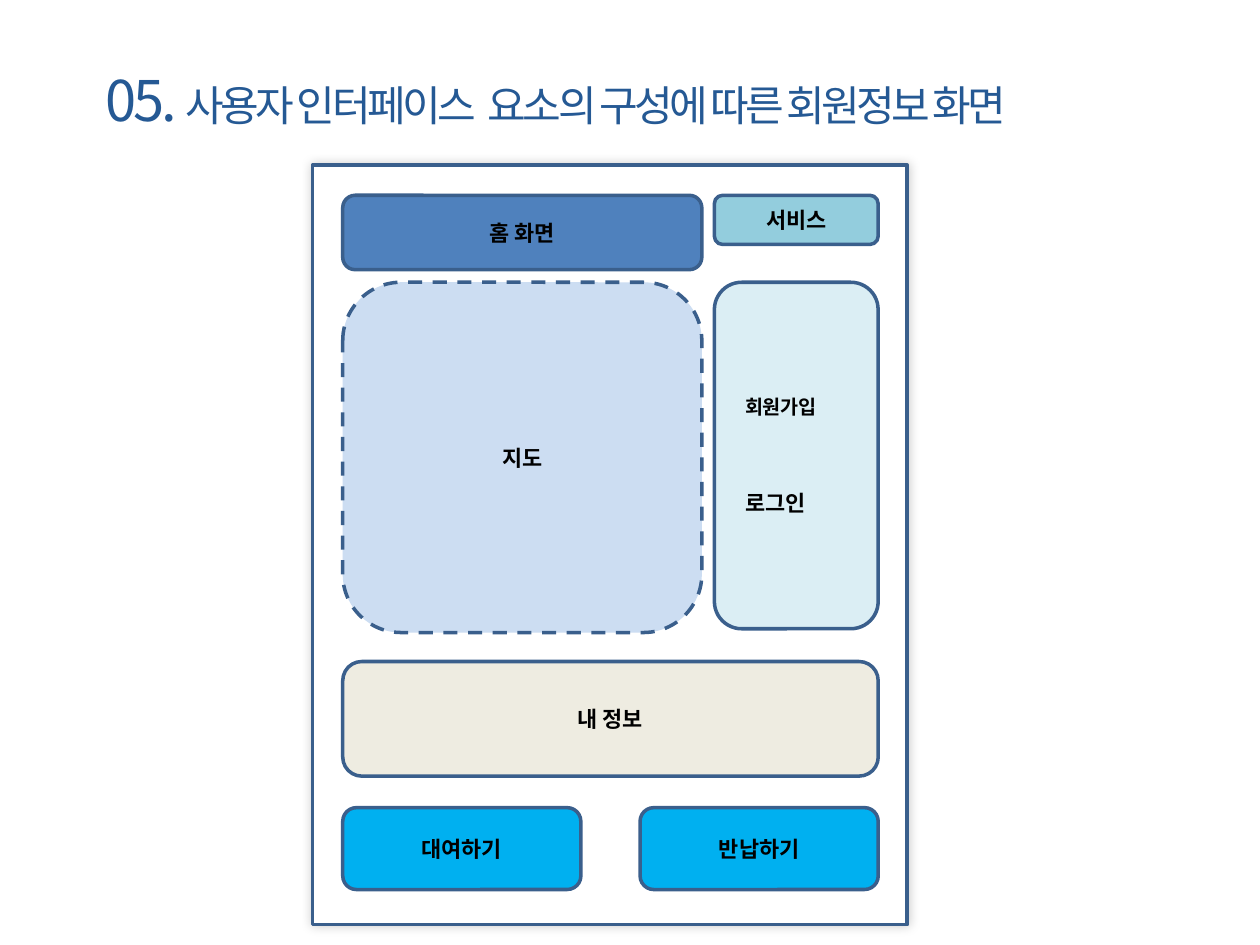
from lxml.etree import SubElement
from pptx import Presentation
from pptx.dml.color import RGBColor
from pptx.enum.dml import MSO_LINE
from pptx.enum.shapes import MSO_SHAPE
from pptx.enum.text import MSO_ANCHOR, PP_ALIGN
from pptx.oxml.ns import qn
from pptx.util import Inches, Pt

COLUMNS, ROWS = 100, 75


def color(hex_string):
    """Turn a hex string into a colour."""
    return RGBColor.from_string(hex_string)


class Wireframe:
    """Style and current slide of a screen layout."""

    font_name = "Noto Sans CJK KR"
    border, heading, ink = "3A5F8C", "255994", "000000"
    label_size = 12.5

    def __init__(self, presentation):
        self.slide = presentation.slides.add_slide(presentation.slide_layouts[5])
        self.column = presentation.slide_width / COLUMNS
        self.row = presentation.slide_height / ROWS

    def place(self, left, top, width, height):
        """Convert grid units to slide lengths."""
        return (round(left * self.column), round(top * self.row),
                round(width * self.column), round(height * self.row))

    def format_run(self, run, size, hex_string, bold=False):
        """Set the font of a run, East Asian text included."""
        run.font.name = self.font_name
        run.font.size = Pt(size)
        run.font.bold = bold
        run.font.color.rgb = color(hex_string)
        SubElement(run.font._element, qn("a:ea"), typeface=self.font_name)

    def title(self, box, pieces):
        """Fill the title with (text, size, letter spacing) pieces."""
        title = self.slide.shapes.title
        title.left, title.top, title.width, title.height = self.place(*box)
        frame = title.text_frame
        frame.vertical_anchor = MSO_ANCHOR.MIDDLE
        paragraph = frame.paragraphs[0]
        paragraph.alignment = PP_ALIGN.LEFT
        for text, size, spacing in pieces:
            run = paragraph.add_run()
            run.text = text
            self.format_run(run, size, self.heading)
            run.font._element.set("spc", str(round(spacing * 100)))

    def shape(self, kind, box, fill):
        """Add an outlined shape without a shadow."""
        shape = self.slide.shapes.add_shape(kind, *self.place(*box))
        shape.shadow.inherit = False
        shape.fill.solid()
        shape.fill.fore_color.rgb = color(fill)
        shape.line.color.rgb = color(self.border)
        shape.line.width = Pt(2)
        return shape

    def screen(self, box):
        """Add the screen frame with a soft shadow."""
        shape = self.shape(MSO_SHAPE.RECTANGLE, box, "FFFFFF")
        effects = shape._element.spPr.find(qn("a:effectLst"))
        shadow = SubElement(effects, qn("a:outerShdw"), blurRad=str(Pt(6)),
                            dist="0", dir=str(315 * 60000), rotWithShape="0")
        tint = SubElement(shadow, qn("a:srgbClr"), val=self.ink)
        SubElement(tint, qn("a:alpha"), val="20000")

    def panel(self, box, fill, label):
        """Add a rounded panel with a centred bold label."""
        shape = self.shape(MSO_SHAPE.ROUNDED_RECTANGLE, box, fill)
        frame = shape.text_frame
        frame.text = label
        frame.vertical_anchor = MSO_ANCHOR.MIDDLE
        for paragraph in frame.paragraphs:
            paragraph.alignment = PP_ALIGN.CENTER
            for run in paragraph.runs:
                self.format_run(run, self.label_size, self.ink, bold=True)
        return shape

    def menu(self, box, fill, items, gap):
        """Add a panel with left-aligned items, the first one smaller."""
        frame = self.panel(box, fill, "\n".join(items)).text_frame
        frame.margin_left = Inches(0.18)
        for paragraph in frame.paragraphs:
            paragraph.alignment = PP_ALIGN.LEFT
        for paragraph in frame.paragraphs[1:]:
            paragraph.space_before = Pt(gap)
        frame.paragraphs[0].runs[0].font.size = Pt(11.2)

    def map_area(self, box, fill, label):
        """Add a dashed, slightly transparent panel."""
        shape = self.panel(box, fill, label)
        shape.line.dash_style = MSO_LINE.DASH
        tint = shape._element.spPr.find(qn("a:solidFill"))[0]
        SubElement(tint, qn("a:alpha"), val="89000")


def main():
    """Build the member information screen."""
    presentation = Presentation()
    presentation.slide_width, presentation.slide_height = Inches(10), Inches(7.5)
    wireframe = Wireframe(presentation)

    left, right = 27.2, 69.7
    main_width, side_width, button_width = 28.5, 13, 18.9
    side = right - side_width
    header_top, body_top, info_top, button_top = 15.5, 22.4, 52.5, 64.1

    wireframe.title((7.4, 4.7, 92.6, 6.4), [
        ("05. ", 32, -2),
        ("사용자 인터페이스", 24, -2),
        (" ", 24, 1.4),
        ("요소의 구성에 따른 회원정보 화면", 24, -2),
    ])
    wireframe.screen((24.8, 13.1, 47.2, 60.3))
    panels = [
        ((left, header_top, main_width, 5.9), "4F81BD", "홈 화면"),
        ((side, header_top, side_width, 3.9), "93CDDD", "서비스"),
        ((left, info_top, right - left, 9.1), "EEECE1", "내 정보"),
        ((left, button_top, button_width, 6.5), "00B0F0", "대여하기"),
        ((right - button_width, button_top, button_width, 6.5), "00B0F0", "반납하기"),
    ]
    for box, fill, label in panels:
        wireframe.panel(box, fill, label)
    wireframe.menu((side, body_top, side_width, 27.5), "DBEEF4",
                   ["회원가입", "로그인"], gap=41)
    wireframe.map_area((left, body_top, main_width, 27.8), "C6D9F1", "지도")
    presentation.save("out.pptx")


main()
